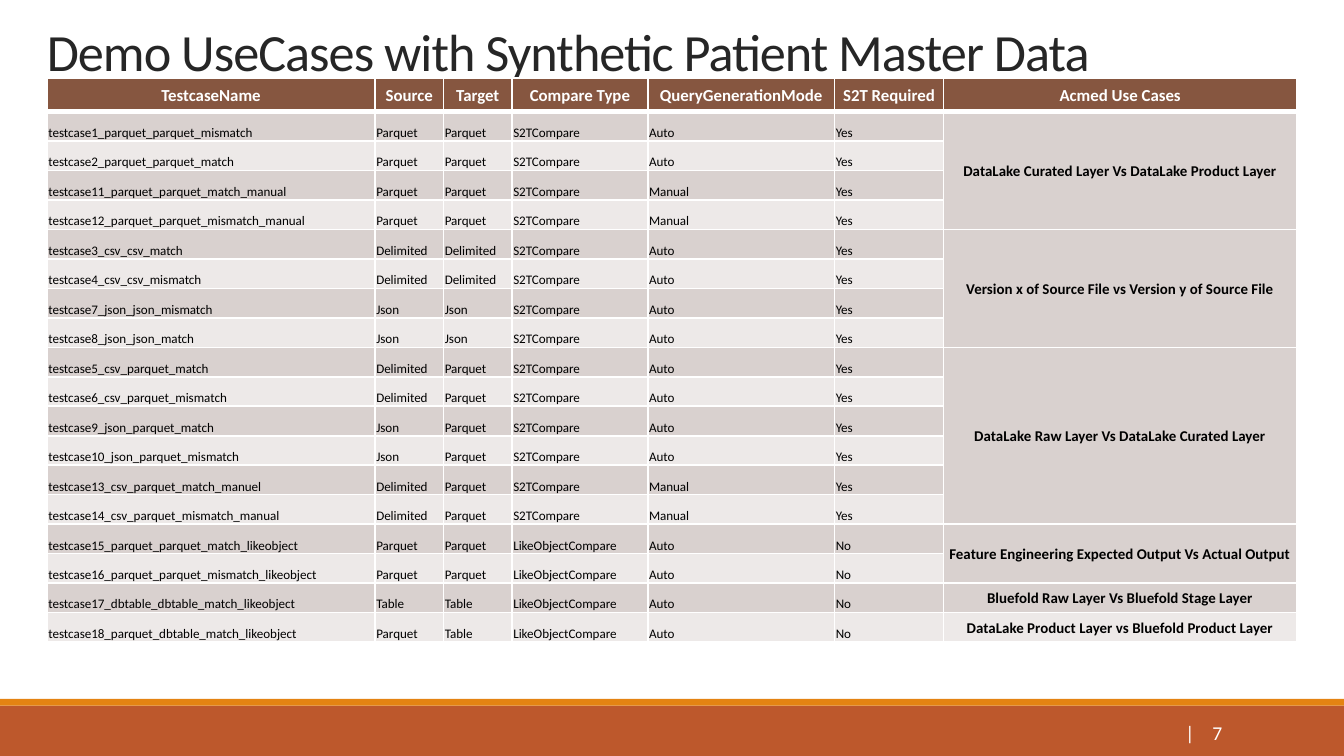
from lxml import etree
from pptx import Presentation
from pptx.dml.color import RGBColor
from pptx.enum.shapes import MSO_SHAPE
from pptx.enum.text import MSO_ANCHOR, PP_ALIGN
from pptx.oxml.ns import qn
from pptx.util import Inches, Pt

RECT = MSO_SHAPE.RECTANGLE
MIDDLE, BOTTOM = MSO_ANCHOR.MIDDLE, MSO_ANCHOR.BOTTOM
LEFT, CENTER = PP_ALIGN.LEFT, PP_ALIGN.CENTER

FONT = "Calibri"
WHITE, BLACK = "FFFFFF", "000000"
HEADER_FILL = "865640"
BANDS = ("D9D1CF", "EDE9E8")

COLUMNS = [
    ("TestcaseName", 2.44), ("Source", 0.51), ("Target", 0.51), ("Compare Type", 1.01),
    ("QueryGenerationMode", 1.39), ("S2T Required", 0.81), ("Acmed Use Cases", 2.63),
]
S2T = ("S2TCompare", "Yes")
LIKE = ("LikeObjectCompare", "No")
USE_CASES = [
    ("DataLake Curated Layer Vs DataLake Product Layer", S2T, [
        ("testcase1_parquet_parquet_mismatch", "Parquet", "Parquet", "Auto"),
        ("testcase2_parquet_parquet_match", "Parquet", "Parquet", "Auto"),
        ("testcase11_parquet_parquet_match_manual", "Parquet", "Parquet", "Manual"),
        ("testcase12_parquet_parquet_mismatch_manual", "Parquet", "Parquet", "Manual"),
    ]),
    ("Version x of Source File vs Version y of Source File", S2T, [
        ("testcase3_csv_csv_match", "Delimited", "Delimited", "Auto"),
        ("testcase4_csv_csv_mismatch", "Delimited", "Delimited", "Auto"),
        ("testcase7_json_json_mismatch", "Json", "Json", "Auto"),
        ("testcase8_json_json_match", "Json", "Json", "Auto"),
    ]),
    ("DataLake Raw Layer Vs DataLake Curated Layer", S2T, [
        ("testcase5_csv_parquet_match", "Delimited", "Parquet", "Auto"),
        ("testcase6_csv_parquet_mismatch", "Delimited", "Parquet", "Auto"),
        ("testcase9_json_parquet_match", "Json", "Parquet", "Auto"),
        ("testcase10_json_parquet_mismatch", "Json", "Parquet", "Auto"),
        ("testcase13_csv_parquet_match_manuel", "Delimited", "Parquet", "Manual"),
        ("testcase14_csv_parquet_mismatch_manual", "Delimited", "Parquet", "Manual"),
    ]),
    ("Feature Engineering Expected Output Vs Actual Output", LIKE, [
        ("testcase15_parquet_parquet_match_likeobject", "Parquet", "Parquet", "Auto"),
        ("testcase16_parquet_parquet_mismatch_likeobject", "Parquet", "Parquet", "Auto"),
    ]),
    ("Bluefold Raw Layer Vs Bluefold Stage Layer", LIKE, [
        ("testcase17_dbtable_dbtable_match_likeobject", "Table", "Table", "Auto"),
    ]),
    ("DataLake Product Layer vs Bluefold Product Layer", LIKE, [
        ("testcase18_parquet_dbtable_match_likeobject", "Parquet", "Table", "Auto"),
    ]),
]


def rgb(value):
    """Turn a hex string into a colour."""
    return RGBColor.from_string(value)


def write(tf, text, size, color, bold=False, align=LEFT):
    """Write one formatted paragraph and return it."""
    p = tf.paragraphs[0]
    p.text = text
    p.alignment = align
    p.font.name, p.font.size, p.font.bold = FONT, Pt(size), bold
    p.font.color.rgb = rgb(color)
    return p


def add_text(slide, box, anchor):
    """Add an empty wrapping text box and return its frame."""
    sp = slide.shapes.add_textbox(*map(Inches, box))
    tf = sp.text_frame
    tf.word_wrap = True
    tf.vertical_anchor = anchor
    return tf


def add_title(slide, box):
    """Place the slide title at the bottom of its box."""
    tf = add_text(slide, box, BOTTOM)
    p = write(tf, "Demo UseCases with Synthetic Patient Master Data", 28, "262626")
    p.line_spacing = 0.85
    p.runs[0].font._element.set("spc", "-50")


def add_bar(slide, box, color):
    """Place a plain filled bar."""
    sp = slide.shapes.add_shape(RECT, *map(Inches, box))
    sp.shadow.inherit = False
    sp.fill.solid()
    sp.fill.fore_color.rgb = rgb(color)
    sp.line.fill.background()


def add_footer(slide, box):
    """Place the footer band, its accent strip and the page number."""
    left, top, width, height = box
    strip = 0.05
    add_bar(slide, (left, top + strip, width, height - strip), "BD582C")
    add_bar(slide, (left, top, width, strip), "E48312")
    tf = add_text(slide, (left + 8.12, top + 0.1, 1.08, 0.3), MIDDLE)
    tf.margin_left, tf.margin_right = Inches(0.7), 0
    p = tf.paragraphs[0]
    tabs = etree.SubElement(p._p.get_or_add_pPr(), qn("a:tabLst"))
    etree.SubElement(tabs, qn("a:tab"), pos=str(Inches(0.2)), algn="l")
    write(tf, "|\t7", 10.5, WHITE)


def set_borders(cell, top=1, bottom=1):
    """Give a cell white borders of the given point widths."""
    tc_pr = cell._tc.get_or_add_tcPr()
    for side, width in (("L", 1), ("R", 1), ("T", top), ("B", bottom)):
        ln = etree.SubElement(tc_pr, qn(f"a:ln{side}"), w=str(Pt(width)))
        fill = etree.SubElement(ln, qn("a:solidFill"))
        etree.SubElement(fill, qn("a:srgbClr"), val=WHITE)


def style_cell(cell, fill, anchor, top=1, bottom=1):
    """Set borders, fill, insets and anchor of a cell."""
    set_borders(cell, top, bottom)
    cell.fill.solid()
    cell.fill.fore_color.rgb = rgb(fill)
    cell.margin_left = cell.margin_right = cell.margin_top = Inches(0.01)
    cell.margin_bottom = 0
    cell.vertical_anchor = anchor


def add_use_case_table(slide, box):
    """Place the test cases grouped by the use case they cover."""
    count = sum(len(cases) for _, _, cases in USE_CASES)
    last = len(COLUMNS) - 1
    header_height = 0.25
    table = slide.shapes.add_table(count + 1, len(COLUMNS), *map(Inches, box)).table
    table.horz_banding = False
    table.rows[0].height = Inches(header_height)
    for row in list(table.rows)[1:]:
        row.height = Inches((box[3] - header_height) / count)

    for col, (label, width) in enumerate(COLUMNS):
        table.columns[col].width = Inches(width)
        cell = table.cell(0, col)
        style_cell(cell, HEADER_FILL, MIDDLE, bottom=3)
        write(cell.text_frame, label, 9, WHITE, True, CENTER)

    row = 1
    for use_case, (compare, required), cases in USE_CASES:
        first = table.cell(row, last)
        for name, source, target, mode in cases:
            fill = BANDS[(row - 1) % 2]
            top = 3 if row == 1 else 1
            for col, text in enumerate((name, source, target, compare, mode, required)):
                cell = table.cell(row, col)
                style_cell(cell, fill, BOTTOM, top)
                write(cell.text_frame, text, 7, BLACK)
            style_cell(table.cell(row, last), fill, MIDDLE, top)
            row += 1
        write(first.text_frame, use_case, 8, BLACK, True, CENTER)
        if len(cases) > 1:
            first.merge(table.cell(row - 1, last))


def main():
    """Build the slide and save it."""
    prs = Presentation()
    prs.slide_width = Inches(10)
    prs.slide_height = prs.slide_width * 9 // 16
    slide = prs.slides.add_slide(prs.slide_layouts[6])
    add_footer(slide, (0, 5.2, 10, 0.43))
    add_title(slide, (0.25, 0.03, 8.95, 0.63))
    add_use_case_table(slide, (0.35, 0.58, 9.3, 4.2))
    prs.save("out.pptx")


if __name__ == "__main__":
    main()
